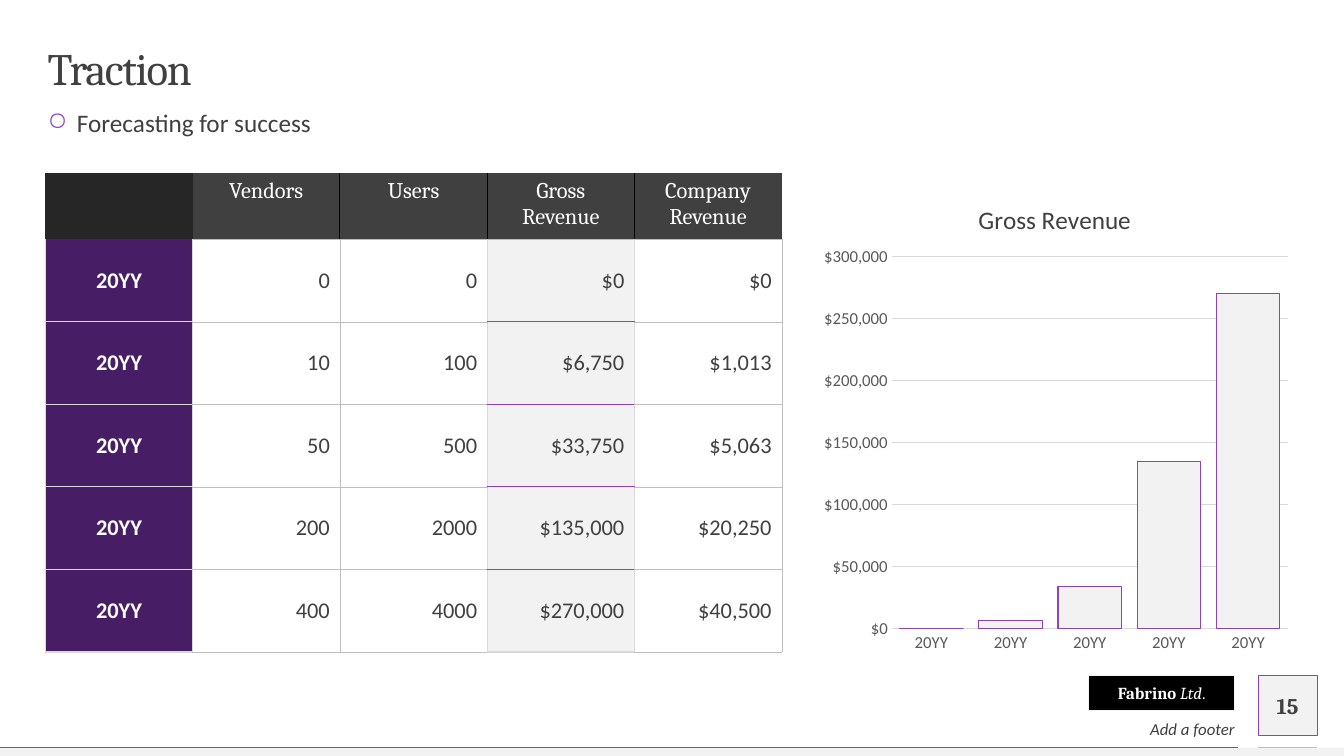
from dataclasses import dataclass

from lxml import etree
from pptx import Presentation
from pptx import util as u
from pptx.chart import data as chart_data
from pptx.dml.color import RGBColor
from pptx.enum import chart as charts, shapes, text
from pptx.oxml import parse_xml
from pptx.oxml.ns import nsdecls, qn

ALIGN = text.PP_ALIGN
ANCHOR = text.MSO_ANCHOR
PLAIN_TABLE = "{2D5ABB26-0587-4C30-8999-92F81FD0307C}"


@dataclass(frozen=True)
class Theme:
    heading: str = "Cambria"
    body: str = "Calibri"
    ink: str = "404040"
    corner: str = "262626"
    axis: str = "595959"
    rule: str = "BFBFBF"
    grid: str = "D9D9D9"
    panel: str = "F2F2F2"
    accent: str = "8E40C8"
    deep: str = "471E66"
    white: str = "FFFFFF"
    black: str = "000000"
    title_size: int = 32
    lead_size: int = 18
    cell_size: int = 16
    small_size: int = 12


def color(value):
    return RGBColor.from_string(value)


def style_font(font, name, size, ink, bold=False, italic=False):
    font.name, font.size = name, u.Pt(size)
    font.bold, font.italic = bold, italic
    font.color.rgb = color(ink)


def set_fill(fill, value):
    if value:
        fill.solid()
        fill.fore_color.rgb = color(value)
    else:
        fill.background()


def place(parent, index, x, y, width=None, height=None):
    for old in parent.findall(qn("c:layout")):
        parent.remove(old)
    inner = '<c:layoutTarget val="inner"/>' if width else ""
    modes = '<c:xMode val="edge"/><c:yMode val="edge"/>'
    sizes = f'<c:w val="{width}"/><c:h val="{height}"/>' if width else ""
    parent.insert(index, parse_xml(
        f'<c:layout {nsdecls("c")}><c:manualLayout>{inner}{modes}'
        f'<c:x val="{x}"/><c:y val="{y}"/>{sizes}</c:manualLayout></c:layout>'))


class SlideBuilder:
    def __init__(self, page, theme):
        self.page = page
        self.theme = theme

    def rectangle(self, left, top, width, height, fill, line=None, weight=0.25):
        box = self.page.shapes.add_shape(
            shapes.MSO_SHAPE.RECTANGLE, *map(u.Pt, (left, top, width, height)))
        box.shadow.inherit = False
        set_fill(box.fill, fill)
        set_fill(box.line.fill, line)
        if line:
            box.line.width = u.Pt(weight)
        return box

    def line(self, left, right, y, ink, weight):
        rule = self.page.shapes.add_connector(
            shapes.MSO_CONNECTOR.STRAIGHT, u.Pt(left), u.Pt(y), u.Pt(right), u.Pt(y))
        rule.line.color.rgb = color(ink)
        rule.line.width = u.Pt(weight)
        etree.SubElement(rule._element.spPr, qn("a:effectLst"))

    def label(self, wording, left, top, width, height, font, size,
              align=ALIGN.LEFT, anchor=ANCHOR.TOP, **emphasis):
        box = self.page.shapes.add_textbox(*map(u.Pt, (left, top, width, height)))
        frame = box.text_frame
        frame.word_wrap = True
        frame.vertical_anchor = anchor
        frame.margin_left = frame.margin_right = frame.margin_top = frame.margin_bottom = 0
        frame.text = wording
        para = frame.paragraphs[0]
        para.alignment = align
        style_font(para.runs[0].font, font, size, self.theme.ink, **emphasis)
        return para

    def bullet(self, para, mark, indent):
        properties = para._p.get_or_add_pPr()
        properties.set("marL", str(u.Pt(indent)))
        properties.set("indent", str(u.Pt(-indent)))
        tint = etree.SubElement(properties, qn("a:buClr"))
        etree.SubElement(tint, qn("a:srgbClr"), val=self.theme.accent)
        etree.SubElement(properties, qn("a:buChar"), char=mark)

    def name_plate(self, spans, left, top, width, height):
        theme = self.theme
        box = self.rectangle(left, top, width, height, theme.black, theme.panel, 0.75)
        frame = box.text_frame
        frame.word_wrap = False
        frame.vertical_anchor = ANCHOR.MIDDLE
        para = frame.paragraphs[0]
        para.alignment = ALIGN.CENTER
        for wording, bold, italic in spans:
            span = para.add_run()
            span.text = wording
            style_font(span.font, theme.heading, theme.small_size, theme.white, bold, italic)

    def vertical_edge(self, row, index, last):
        theme = self.theme
        if row == 0:
            return (theme.black, 1) if 1 < index < last else None
        return (theme.rule, 0.25) if index in (2, last) else (theme.grid, 1)

    def horizontal_edge(self, column, index, last, key_column):
        theme = self.theme
        if index == 0 or (index == 1 and column == 0):
            return None
        if column == 0:
            return theme.grid, 1
        if column == key_column and index > 1:
            return (theme.accent if index < last else theme.grid), 1
        return theme.rule, 0.25

    def borders(self, cell, edges):
        properties = cell._tc.get_or_add_tcPr()
        drawn = [(side, edge) for side, edge in zip("LRTB", edges) if edge]
        for position, (side, (ink, weight)) in enumerate(drawn):
            properties.insert(position, parse_xml(
                f'<a:ln{side} {nsdecls("a")} w="{u.Pt(weight)}"><a:solidFill>'
                f'<a:srgbClr val="{ink}"/></a:solidFill></a:ln{side}>'))

    def table(self, rows, left, top, column_width, heights, key_column):
        theme = self.theme
        row_count, column_count = len(rows), len(rows[0])
        holder = self.page.shapes.add_table(
            row_count, column_count, u.Pt(left), u.Pt(top),
            u.Pt(column_width * column_count), u.Pt(sum(heights)))
        grid = holder.table
        grid.first_row = grid.horz_banding = False
        grid._tbl.tblPr.find(qn("a:tableStyleId")).text = PLAIN_TABLE
        for column in grid.columns:
            column.width = u.Pt(column_width)
        for row, values in enumerate(rows):
            grid.rows[row].height = u.Pt(heights[row])
            for column, value in enumerate(values):
                cell = grid.cell(row, column)
                header, side = row == 0, column == 0
                if header:
                    fill = theme.corner if side else theme.ink
                elif side:
                    fill = theme.deep
                else:
                    fill = theme.panel if column == key_column else None
                set_fill(cell.fill, fill)
                self.borders(cell, (
                    self.vertical_edge(row, column, column_count),
                    self.vertical_edge(row, column + 1, column_count),
                    self.horizontal_edge(column, row, row_count, key_column),
                    self.horizontal_edge(column, row + 1, row_count, key_column)))
                cell.vertical_anchor = ANCHOR.TOP if header else ANCHOR.MIDDLE
                cell.text_frame.text = value
                para = cell.text_frame.paragraphs[0]
                para.alignment = ALIGN.CENTER if header or side else ALIGN.RIGHT
                for span in para.runs:
                    style_font(span.font, theme.heading if header else theme.body,
                               theme.cell_size, theme.white if header or side else theme.ink,
                               bold=side)

    def column_chart(self, title, categories, values, left, top, width, height):
        theme = self.theme
        source = chart_data.CategoryChartData()
        source.categories = categories
        source.add_series("Series 1", values)
        chart = self.page.shapes.add_chart(
            charts.XL_CHART_TYPE.COLUMN_CLUSTERED,
            *map(u.Pt, (left, top, width, height)), source).chart
        style_font(chart.font, theme.body, theme.small_size, theme.axis)
        chart.has_legend = False
        chart.has_title = True
        heading = chart.chart_title.text_frame
        heading.text = title
        style_font(heading.paragraphs[0].runs[0].font, theme.body, theme.lead_size, theme.ink)
        place(chart.chart_title._element, 1, 0.33, 0.05)
        place(chart._chartSpace.chart.plotArea, 0, 0.16, 0.17, 0.82, 0.76)
        plot = chart.plots[0]
        plot.gap_width = 25
        plot.vary_by_categories = False
        bars = plot.series[0].format
        set_fill(bars.fill, theme.panel)
        bars.line.color.rgb = color(theme.accent)
        bars.line.width = u.Pt(0.75)
        amounts, years = chart.value_axis, chart.category_axis
        for axis in (amounts, years):
            axis.major_tick_mark = axis.minor_tick_mark = charts.XL_TICK_MARK.NONE
            style_font(axis.tick_labels.font, theme.body, theme.small_size, theme.axis)
        amounts.minimum_scale, amounts.maximum_scale, amounts.major_unit = 0, 300000, 50000
        amounts.tick_labels.number_format = "[$$-409]#,##0"
        amounts.tick_labels.number_format_is_linked = False
        amounts.format.line.fill.background()
        for stroke in (amounts.major_gridlines.format.line, years.format.line):
            stroke.color.rgb = color(theme.grid)
            stroke.width = u.Pt(0.75)


def main():
    deck = Presentation()
    deck.slide_width, deck.slide_height = u.Pt(960), u.Pt(540)
    theme = Theme()
    slide = SlideBuilder(deck.slides.add_slide(deck.slide_layouts[6]), theme)
    slide.rectangle(898.5, 482.5, 42.5, 42.5, theme.panel, theme.accent)
    slide.rectangle(0, 534, 960, 6, theme.panel)
    slide.line(898.5, 941, 533.5, theme.rule, 0.5)
    slide.line(0, 884, 534, theme.accent, 0.25)
    slide.name_plate([("Fabrino ", True, False), ("Ltd", False, True), (".", False, False)],
                     777.6, 482.5, 104.4, 25)
    title = slide.label("Traction", 34, 34, 893, 34, theme.heading, theme.title_size,
                        anchor=ANCHOR.MIDDLE)
    title.line_spacing = 0.9
    title.runs[0].font._element.set("spc", "-100")
    lead = slide.label("Forecasting for success", 34, 79, 893, 28, theme.body, theme.lead_size)
    lead.line_spacing, lead.space_before = 0.9, u.Pt(10)
    slide.bullet(lead, "○", 21)
    year = "20YY"
    slide.table([
        ["", "Vendors", "Users", "Gross Revenue", "Company Revenue"],
        [year, "0", "0", "$0", "$0"],
        [year, "10", "100", "$6,750", "$1,013"],
        [year, "50", "500", "$33,750", "$5,063"],
        [year, "200", "2000", "$135,000", "$20,250"],
        [year, "400", "4000", "$270,000", "$40,500"],
    ], 32.4, 123.8, 105.2, [47] + [59] * 5, key_column=3)
    slide.column_chart("Gross Revenue", [year] * 5, [0, 7000, 34000, 135000, 270000],
                       581.8, 123.8, 344.9, 350)
    slide.label("Add a footer", 558, 511, 324, 16.5, theme.body, theme.small_size,
                ALIGN.RIGHT, ANCHOR.BOTTOM, italic=True)
    slide.label("15", 898.5, 489.6, 42.5, 28.8, theme.heading, theme.cell_size,
                ALIGN.CENTER, ANCHOR.MIDDLE, bold=True)
    deck.save("out.pptx")


if __name__ == "__main__":
    main()
